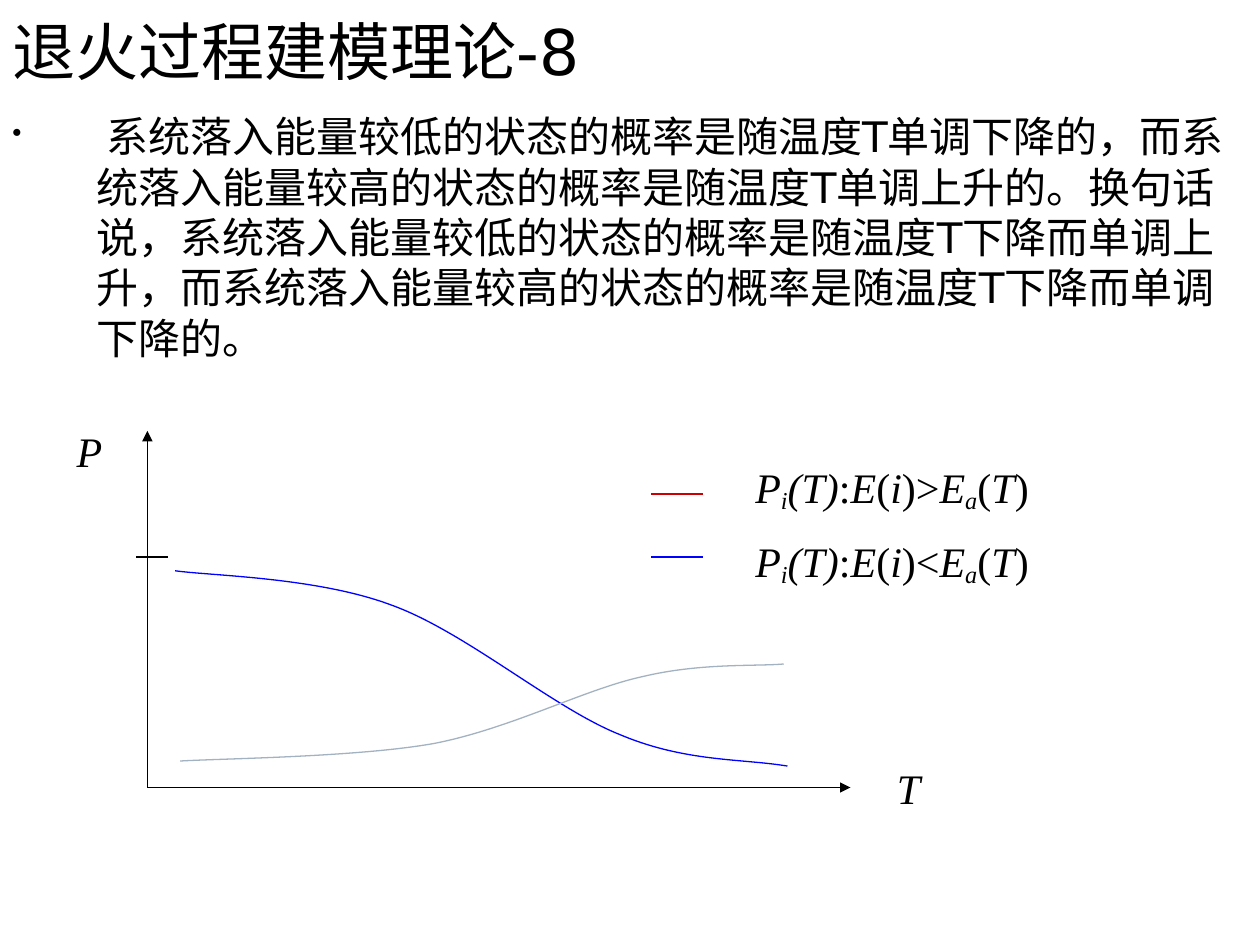
"""Build the slide on annealing theory with its probability-temperature diagram."""
import pptx
import pptx.dml.color
import pptx.enum.shapes
import pptx.enum.text
import pptx.oxml
import pptx.oxml.ns
import pptx.util

Inches = pptx.util.Inches
qn = pptx.oxml.ns.qn

SANS, SERIF = "DejaVu Sans", "Times New Roman"
BLACK, WHITE, BLUE, RED, GRAY = "000000", "FFFFFF", "0000FF", "CC0000", "A3B2C1"

TITLE = "退火过程建模理论-8"
BODY = (
    " 系统落入能量较低的状态的概率是随温度T单调下降的，而系统落入能量较高的状态的概率是随温度T单调上升的。"
    "换句话说，系统落入能量较低的状态的概率是随温度T下降而单调上升，而系统落入能量较高的状态的概率是随温度T下降而单调下降的。"
)

ORIGIN = (1.17, 6.25)
LINES = [
    (ORIGIN, (1.17, 3.42), BLACK, True),
    (ORIGIN, (6.75, 6.25), BLACK, True),
    ((1.08, 4.42), (1.33, 4.42), BLACK, False),
    ((5.17, 3.92), (5.58, 3.92), RED, False),
    ((5.17, 4.42), (5.58, 4.42), BLUE, False),
]
CURVES = [
    (BLUE, [(1.39, 4.53), (1.67, 4.57), (2.51, 4.58), (3.1, 4.8), (3.69, 5.01),
            (4.39, 5.62), (4.92, 5.83), (5.44, 6.05), (5.89, 6.02), (6.25, 6.08)]),
    (GRAY, [(1.43, 6.04), (1.77, 6.02), (2.84, 6.01), (3.45, 5.9), (4.06, 5.78),
            (4.64, 5.47), (5.1, 5.37), (5.56, 5.26), (5.99, 5.29), (6.22, 5.27)]),
]


def condition(sign):
    """Return the legend formula as (text, style) pieces."""
    return [("P", "i"), ("i", "sub"), ("(T)", "i"), (":", ""), ("E", "i"), ("(", ""), ("i", "i"),
            (")" + sign, ""), ("E", "i"), ("a", "sub"), ("(", ""), ("T", "i"), (")", "")]


LABELS = [
    ((6.92, 6, 0.58, 0.5), [("T", "i")]),
    ((0.42, 3.33, 0.58, 0.5), [("P", "i")]),
    ((5.83, 3.58, 2.5, 0.58), condition(">")),
    ((5.83, 4.17, 2.5, 0.58), condition("<")),
]


def color(value):
    """Turn a hex string into a colour."""
    return pptx.dml.color.RGBColor.from_string(value)


def style_run(run, size, name):
    """Set size, typeface and black colour of a run."""
    run.font.size = pptx.util.Pt(size)
    run.font.name = name
    run.font.color.rgb = color(BLACK)


def add_text(slide, box, text, size, anchor):
    """Add a wrapped text box and return its paragraph."""
    frame = slide.shapes.add_textbox(*map(Inches, box)).text_frame
    frame.word_wrap = True
    frame.vertical_anchor = anchor
    frame.text = text
    paragraph = frame.paragraphs[0]
    style_run(paragraph.runs[0], size, SANS)
    return paragraph


def add_bullet(paragraph, indent, percent):
    """Give a paragraph a hanging black bullet."""
    properties = paragraph._p.get_or_add_pPr()
    properties.set("marL", str(Inches(indent)))
    properties.set("indent", str(-Inches(indent)))
    bullet_color = properties.makeelement(qn("a:buClr"), {})
    bullet_color.append(properties.makeelement(qn("a:srgbClr"), {"val": BLACK}))
    properties.append(bullet_color)
    for tag, key, value in [("a:buSzPct", "val", str(percent * 1000)), ("a:buChar", "char", "•")]:
        properties.append(properties.makeelement(qn(tag), {key: value}))


def add_line(slide, start, end, line_color, arrow):
    """Add a thin straight connector, with an arrowhead if asked."""
    connector = slide.shapes.add_connector(
        pptx.enum.shapes.MSO_CONNECTOR.STRAIGHT, *map(Inches, start + end))
    connector.line.color.rgb = color(line_color)
    connector.line.width = pptx.util.Pt(0.75)
    if arrow:
        outline = connector.line._get_or_add_ln()
        outline.append(outline.makeelement(qn("a:tailEnd"), {"type": "triangle"}))
    properties = connector._element.spPr
    properties.append(properties.makeelement(qn("a:effectLst"), {}))


def add_curve(slide, line_color, points):
    """Add an open Bezier curve from a start point and triples of control points."""
    start, *others = [(Inches(x), Inches(y)) for x, y in points]
    builder = slide.shapes.build_freeform(*start)
    builder.add_line_segments(others, close=False)
    shape = builder.convert_to_shape()
    shape.shadow.inherit = False
    shape.fill.background()
    shape.line.color.rgb = color(line_color)
    shape.line.width = pptx.util.Pt(0.75)
    outline = next(shape._element.iter(qn("a:path")))
    segments = outline.findall(qn("a:lnTo"))
    for first in range(0, len(segments), 3):
        bezier = outline.makeelement(qn("a:cubicBezTo"), {})
        for segment in segments[first:first + 3]:
            bezier.append(segment[0])
            outline.remove(segment)
        outline.append(bezier)


def add_label(slide, box, pieces):
    """Add a white rectangle holding an italic label or formula."""
    shape = slide.shapes.add_shape(
        pptx.enum.shapes.MSO_SHAPE.RECTANGLE, *map(Inches, box))
    shape.shadow.inherit = False
    shape.fill.solid()
    shape.fill.fore_color.rgb = color(WHITE)
    shape.line.fill.background()
    frame = shape.text_frame
    frame.word_wrap = False
    frame.vertical_anchor = pptx.enum.text.MSO_ANCHOR.MIDDLE
    paragraph = frame.paragraphs[0]
    paragraph.alignment = pptx.enum.text.PP_ALIGN.CENTER
    for text, style in pieces:
        run = paragraph.add_run()
        run.text = text
        style_run(run, 24, SERIF)
        run.font.italic = style != ""
        if style == "sub":
            run._r.get_or_add_rPr().set("baseline", "-15000")


def main():
    """Build and save the slide."""
    presentation = pptx.Presentation()
    presentation.slide_width = Inches(10)
    presentation.slide_height = Inches(7.5)
    slide = presentation.slides.add_slide(presentation.slide_layouts[6])
    add_text(slide, (0, 0, 10, 0.75), TITLE, 36, pptx.enum.text.MSO_ANCHOR.BOTTOM)
    body = add_text(slide, (0, 0.83, 10, 6.67), BODY, 24, pptx.enum.text.MSO_ANCHOR.TOP)
    add_bullet(body, 0.67, 65)
    for box, pieces in LABELS:
        add_label(slide, box, pieces)
    for line in LINES:
        add_line(slide, *line)
    for line_color, points in CURVES:
        add_curve(slide, line_color, points)
    presentation.save("out.pptx")


if __name__ == "__main__":
    main()
